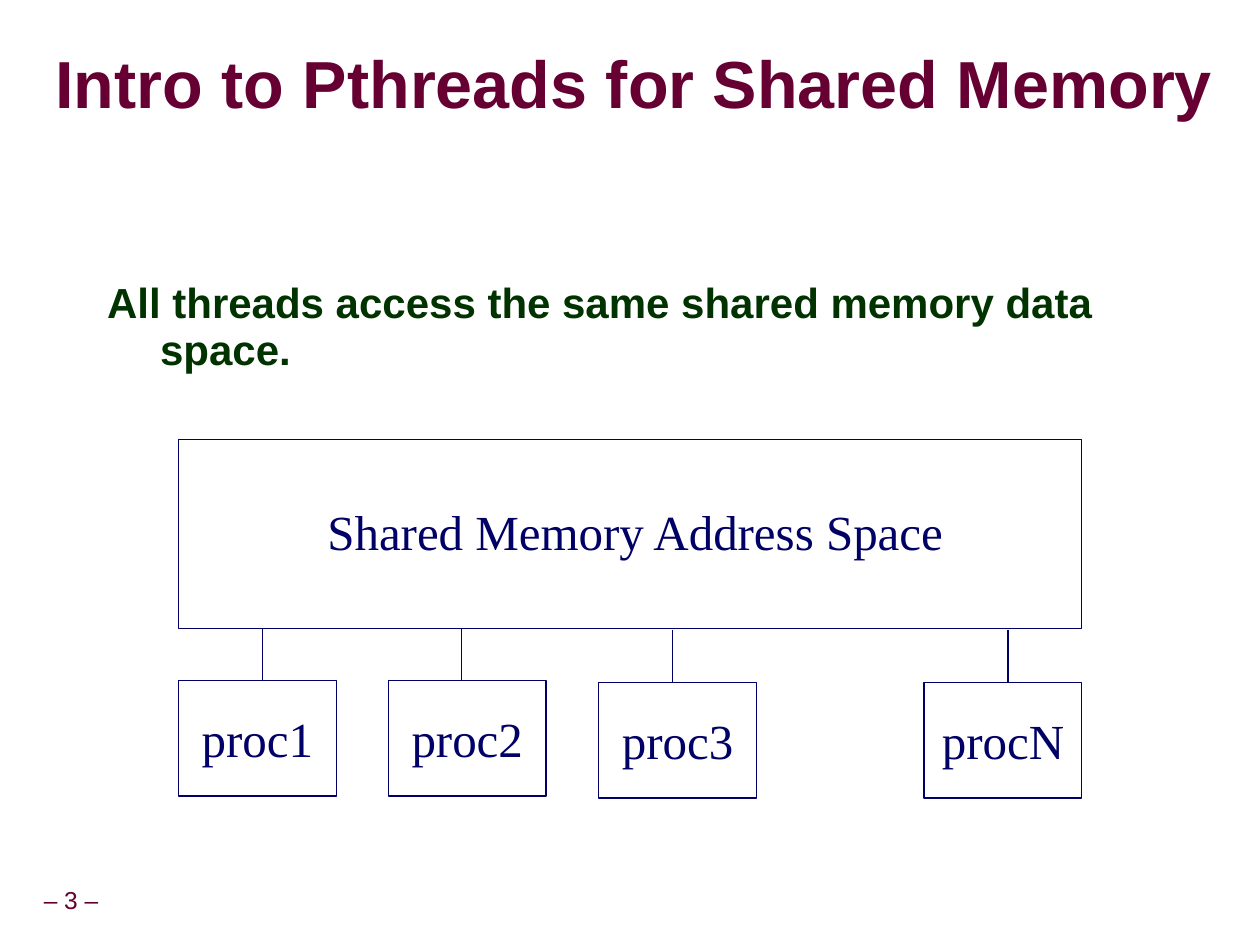
from lxml import etree
from pptx import Presentation
from pptx.dml.color import RGBColor
from pptx.enum.shapes import MSO_CONNECTOR, MSO_SHAPE
from pptx.enum.text import MSO_ANCHOR as ANCHOR, PP_ALIGN as ALIGN
from pptx.oxml import parse_xml
from pptx.oxml.ns import qn
from pptx.util import Cm, Pt

MAROON = RGBColor(0x66, 0x00, 0x33)
NAVY = RGBColor(0x00, 0x00, 0x66)
GREEN = RGBColor(0x00, 0x33, 0x00)
SANS, SERIF = "Arial", "Times New Roman"
SHADOW = (
    '<a:effectLst xmlns:a="http://schemas.openxmlformats.org/drawingml/2006/main">'
    '<a:outerShdw dist="76200" dir="2700000"><a:srgbClr val="969696"/></a:outerShdw>'
    '</a:effectLst>'
)


class SlideBuilder:
    line_width = Pt(0.75)

    def __init__(self, slide):
        self.s = slide

    def set_text(self, shape, text, font, size, color, bold=False, align=ALIGN.LEFT,
                 anchor=ANCHOR.TOP, wrap=False, spacing=1.0):
        tf = shape.text_frame
        tf.word_wrap = wrap
        tf.vertical_anchor = anchor
        p = tf.paragraphs[0]
        p.add_run().text = text
        p.alignment, p.line_spacing = align, spacing
        f = p.font
        f.name, f.size, f.bold = font, Pt(size), bold
        f.color.rgb = color
        return p

    def text(self, x, y, w, h, text, font, size, color, margins=(0.25, 0.13), **style):
        sp = self.s.shapes.add_textbox(Cm(x), Cm(y), Cm(w), Cm(h))
        tf = sp.text_frame
        tf.margin_left = tf.margin_right = Cm(margins[0])
        tf.margin_top = tf.margin_bottom = Cm(margins[1])
        return self.set_text(sp, text, font, size, color, **style)

    def shadowed_title(self, x, y, w, h, text):
        p = self.text(x, y, w, h, text, SANS, 38, MAROON, margins=(0, 0), bold=True,
                      anchor=ANCHOR.MIDDLE, wrap=True, spacing=0.87)
        r = p.runs[0]
        r.font.color.rgb = MAROON
        r_pr = r._r.get_or_add_rPr()
        r_pr.find(qn("a:solidFill")).addnext(parse_xml(SHADOW))

    def box(self, x, y, w, h, text=""):
        sp = self.s.shapes.add_shape(MSO_SHAPE.RECTANGLE, Cm(x), Cm(y), Cm(w), Cm(h))
        sp.shadow.inherit = False
        sp.fill.background()
        sp.line.color.rgb, sp.line.width = NAVY, self.line_width
        if text:
            self.set_text(sp, text, SERIF, 28, NAVY, align=ALIGN.CENTER, anchor=ANCHOR.MIDDLE)

    def vertical_line(self, x, top, bottom):
        c = self.s.shapes.add_connector(MSO_CONNECTOR.STRAIGHT, Cm(x), Cm(top), Cm(x), Cm(bottom))
        c.line.color.rgb, c.line.width = NAVY, self.line_width
        etree.SubElement(c._element.spPr, qn("a:effectLst"))


def main():
    prs = Presentation()
    prs.slide_width, prs.slide_height = Cm(25.4), Cm(19.05)
    b = SlideBuilder(prs.slides.add_slide(prs.slide_layouts[6]))

    b.text(-0.23, 17.78, 3.33, 0.79, "– 3 –", SANS, 14, MAROON, margins=(0.13, 0.13),
           align=ALIGN.CENTER, anchor=ANCHOR.MIDDLE, spacing=0.9)
    b.shadowed_title(1.12, 0.69, 24.2, 2.16, "Intro to Pthreads for Shared Memory")

    b.box(3.6, 8.86, 18.2, 3.81)
    b.text(6.35, 9.98, 12.95, 1.45, "Shared Memory Address Space", SERIF, 28, NAVY)

    # name, box left, box top, link position
    processes = [
        ("proc1", 3.6, 13.72, 5.29),
        ("proc2", 7.83, 13.72, 9.31),
        ("proc3", 12.07, 13.76, 13.55),
        ("procN", 18.63, 13.76, 20.32),
    ]
    for name, left, top, link in processes:
        b.box(left, top, 3.18, 2.33, name)
        b.vertical_line(link, top - 1.06, top)

    p = b.text(1.91, 5.51, 21.59, 11.43,
               "All threads access the same shared memory data space.",
               SANS, 24, GREEN, bold=True, wrap=True, spacing=0.95)
    p_pr = p._p.get_or_add_pPr()
    p_pr.set("marL", str(Cm(1.07)))
    p_pr.set("indent", str(-Cm(1.07)))

    prs.save("out.pptx")


if __name__ == "__main__":
    main()
